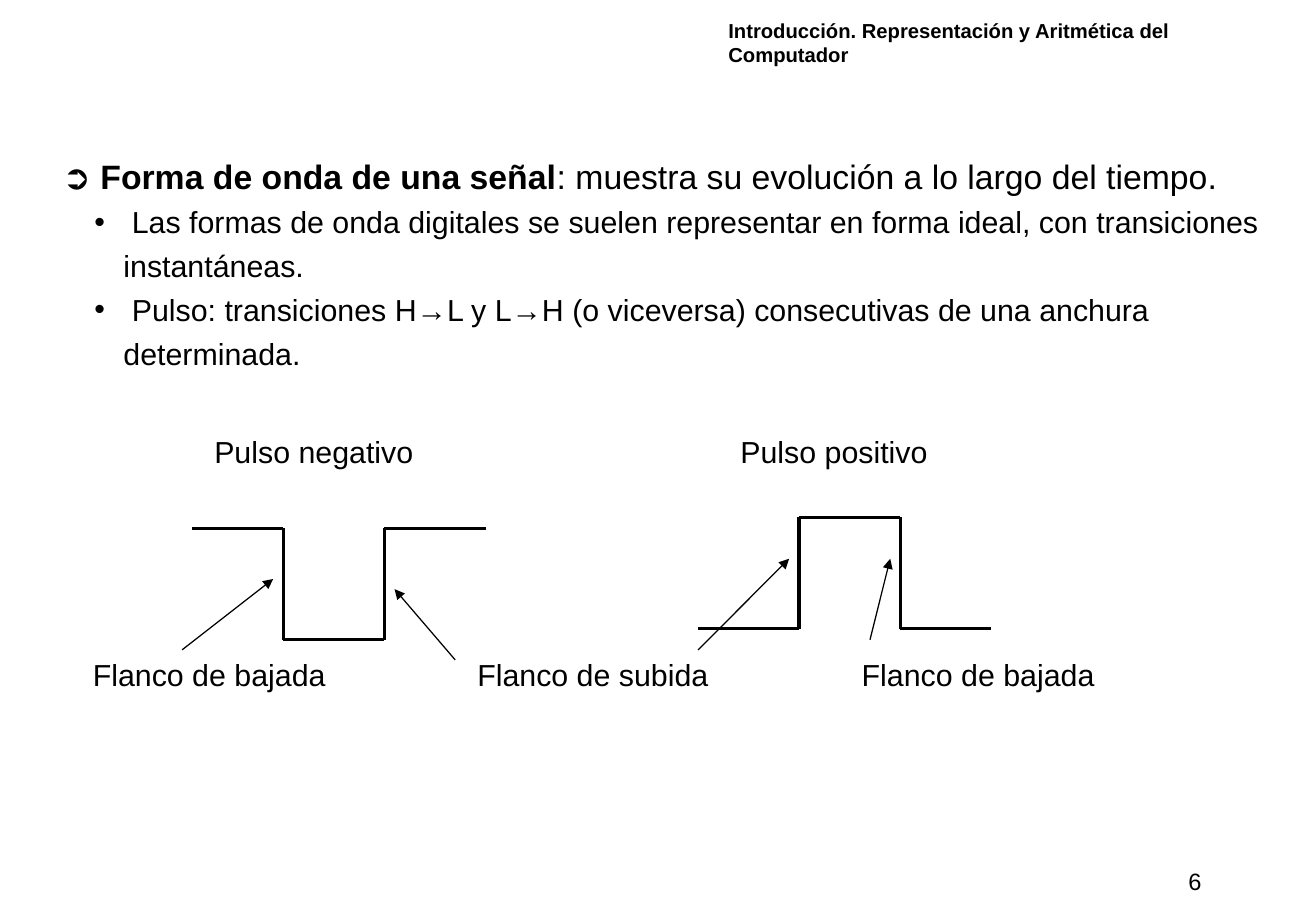
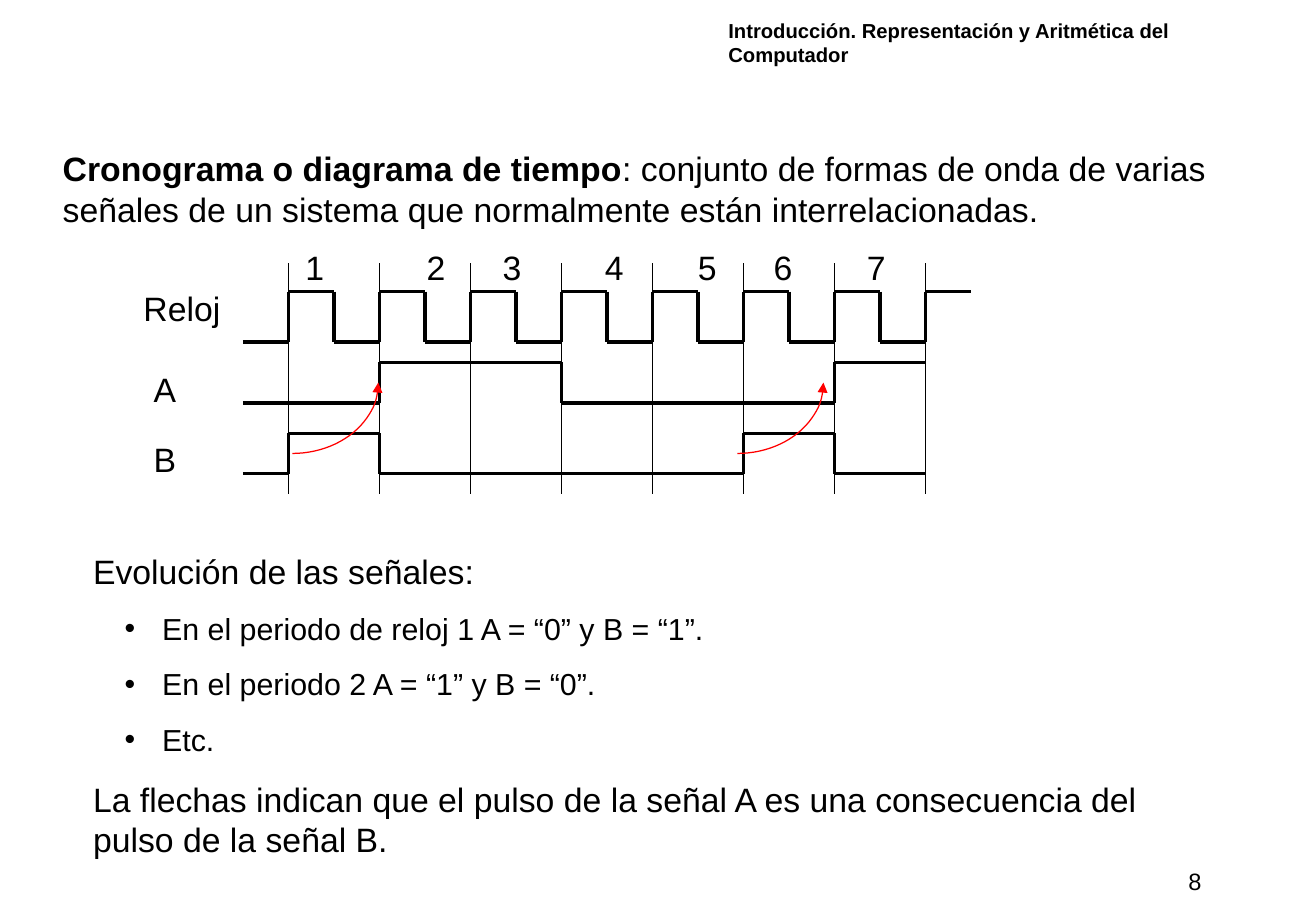
from lxml.etree import SubElement
from pptx import Presentation
from pptx.dml.color import RGBColor
from pptx.enum.shapes import MSO_CONNECTOR as Link, MSO_SHAPE as Shape
from pptx.enum.text import MSO_ANCHOR as Anchor, MSO_AUTO_SIZE as Fit, PP_ALIGN as Align
from pptx.oxml.ns import qn
from pptx.util import Inches, Pt

CELL = Inches(1) / 12
FONT = "Arial"
INK, ARROW_RED = "000000", "FF0000"
THICK, THIN = 2, 0.75
HEADER_BOX = (70.8, 1.2, 56.2, 6)
NUMBER_BOX = (116.3, 85, 13, 4)
HEADER = "Introducción. Representación y Aritmética del Computador"


def cells(*counts):
    """Turn counts of grid cells into slide lengths."""
    return [round(count * CELL) for count in counts]


def colour(hex_code):
    """Give the colour of a hex string."""
    return RGBColor.from_string(hex_code)


def place(holder, box):
    """Move a placeholder to a box of grid cells."""
    holder.left, holder.top, holder.width, holder.height = cells(*box)


def prepare(frame):
    """Make a text frame wrap from its top edge at a fixed text size."""
    frame.word_wrap = True
    frame.auto_size = Fit.NONE
    frame.vertical_anchor = Anchor.TOP


def add_run(paragraph, text, size, bold=False):
    """Add one run of text in the shared font."""
    run = paragraph.add_run()
    run.text = text
    run.font.name, run.font.size, run.font.bold = FONT, Pt(size), bold
    run.font.color.rgb = colour(INK)


def set_bullet(paragraph, bulleted):
    """Give a paragraph a hanging bullet or none at all."""
    props = paragraph._p.get_or_add_pPr()
    margin, indent = (Inches(0.5), Inches(-0.24)) if bulleted else (0, 0)
    props.set("marL", str(margin))
    props.set("indent", str(indent))
    if bulleted:
        SubElement(props, qn("a:buFont"), typeface=FONT)
        SubElement(props, qn("a:buChar"), char="•")
    else:
        SubElement(props, qn("a:buNone"))


def write(frame, paragraphs, line_spacing=1.0, gaps=(0, 0)):
    """Fill a frame with (bulleted, runs) pairs; gaps are for plain and bulleted."""
    prepare(frame)
    for index, (bulleted, runs) in enumerate(paragraphs):
        paragraph = frame.add_paragraph() if index else frame.paragraphs[0]
        paragraph.alignment = Align.LEFT
        paragraph.level = int(bulleted)
        paragraph.line_spacing = line_spacing
        paragraph.space_before = Pt(gaps[bulleted] if index else 0)
        set_bullet(paragraph, bulleted)
        for run in runs:
            add_run(paragraph, *run)


def label(slide, text, box, size):
    """Add a one-line label."""
    frame = slide.shapes.add_textbox(*cells(*box)).text_frame
    write(frame, [(False, [(text, size)])])


def stroke(shape, hex_code, width, arrow_end=None):
    """Set the line of a shape or connector, with an arrowhead at one end."""
    shape.line.color.rgb = colour(hex_code)
    shape.line.width = Pt(width)
    if arrow_end:
        SubElement(shape.line._get_or_add_ln(), qn(arrow_end), type="triangle")


def line(slide, start, end, width, arrow_end=None):
    """Draw a straight line between two grid points."""
    connector = slide.shapes.add_connector(Link.STRAIGHT, *cells(*start, *end))
    stroke(connector, INK, width, arrow_end)
    SubElement(connector._element.spPr, qn("a:effectLst"))


def waveform(slide, left, top, height, edges, levels):
    """Draw a digital signal that holds each level between two edges."""
    corners = []
    for start, end, level in zip(edges, edges[1:], levels):
        y = top + height * (1 - level)
        corners += [(left + start, y), (left + end, y)]
    for start, end in zip(corners, corners[1:]):
        line(slide, start, end, THICK)


def cause_arrow(slide, left, top):
    """Draw the curved red arrow from a pulse of B to one of A."""
    arc = slide.shapes.add_shape(Shape.ARC, *cells(left, top, 17, 14))
    arc.adjustments[0], arc.adjustments[1] = 0, 54
    arc.shadow.inherit = False
    arc.fill.background()
    stroke(arc, ARROW_RED, THIN, "a:headEnd")


def pulses(slide, left, top):
    """Draw the negative and positive pulses with their edges named."""
    waveform(slide, left + 11, top + 10, 11, (0, 9, 19, 29), (1, 0, 1))
    waveform(slide, left + 61, top + 8.9, 11, (0, 10, 20, 29), (0, 1, 0))
    for name, x in (("Pulso negativo", 12), ("Pulso positivo", 64)):
        label(slide, name, (left + x, top, 33, 4.8), 18)
    for index, direction in enumerate(("bajada", "subida", "bajada")):
        label(slide, f"Flanco de {direction}", (left + 38 * index, top + 22, 30, 4.8), 18)
    for x, y, dx, dy in ((10, 22, 9, -7), (37, 23, -6, -7), (78, 21, 2, -8), (61, 22, 9, -9)):
        start = (left + x, top + y)
        line(slide, start, (start[0] + dx, start[1] + dy), THIN, "a:tailEnd")


def timing_diagram(slide, left, top):
    """Draw the clock with signals A and B over seven periods."""
    half_period, row_step = 4.5, 7
    signals = (
        ("Reloj", -11, 1.8, 5, range(17), (0, 1) * 8),
        ("A", -10, 9.8, 4, (0, 3, 7, 13, 15), (0, 1, 0, 1)),
        ("B", -10, 16.8, 4, (0, 1, 3, 11, 13, 15), (0, 1, 0, 1, 0)),
    )
    for row, (name, name_x, name_y, height, halves, levels) in enumerate(signals):
        edges = [half * half_period for half in halves]
        waveform(slide, left, top + 2.8 + row * row_step, height, edges, levels)
        label(slide, name, (left + name_x, top + name_y, 14, 5.3), 20)
    for half in range(1, 16, 2):
        x = left + half * half_period
        line(slide, (x, top), (x, top + 22.8), THIN)
    for x in (-3.6, 40.4):
        cause_arrow(slide, left + x, top + 4.8)
    for period, x in enumerate((5, 17, 24.5, 34.6, 43.8, 51.3, 60.5), start=1):
        label(slide, str(period), (left + x, top - 2.2, 5, 5.3), 20)


def open_slide(deck, layout_index, number):
    """Add a slide with the running header and its page number."""
    slide = deck.slides.add_slide(deck.slide_layouts[layout_index])
    place(slide.shapes.title, HEADER_BOX)
    write(slide.shapes.title.text_frame, [(False, [(HEADER, 12, True)])])
    label(slide, str(number), NUMBER_BOX, 14)
    return slide


def waveform_slide(deck):
    """Build the slide on the waveform of a signal."""
    slide = open_slide(deck, 1, 6)
    body = slide.placeholders[1]
    place(body, (5, 14, 122, 26))
    write(body.text_frame, [
        (False, [("➲ ", 20), ("Forma de onda de una señal", 20, True),
                 (": muestra su evolución a lo largo del tiempo.", 20)]),
        (True, [(" Las formas de onda digitales se suelen representar en forma ideal, "
                 "con transiciones instantáneas.", 18)]),
        (True, [(" Pulso: transiciones H→L y L→H (o viceversa) consecutivas de una "
                 "anchura determinada.", 18)]),
    ], line_spacing=1.2)
    pulses(slide, 8, 42.2)


def timing_slide(deck):
    """Build the slide on the timing diagram."""
    slide = open_slide(deck, 3, 8)
    definition, evolution = slide.placeholders[1], slide.placeholders[2]
    place(definition, (5, 14, 122, 10))
    write(definition.text_frame, [
        (False, [("Cronograma o diagrama de tiempo", 20, True),
                 (": conjunto de formas de onda de varias señales de un sistema que "
                  "normalmente están interrelacionadas.", 20)]),
    ])
    place(evolution, (8, 53.8, 113, 31.8))
    write(evolution.text_frame, [
        (False, [("Evolución de las señales:", 20)]),
        (True, [(" En el periodo de reloj 1 A = “0” y B = “1”.", 18)]),
        (True, [(" En el periodo 2 A = “1” y B = “0”.", 18)]),
        (True, [(" Etc.", 18)]),
        (False, [("La flechas indican que el pulso de la señal A es una consecuencia "
                  "del pulso de la señal B.", 20)]),
    ], gaps=(12.5, 11.2))
    timing_diagram(slide, 24, 26)


def main():
    """Build and save the deck."""
    deck = Presentation()
    deck.slide_width, deck.slide_height = Inches(10.84), Inches(7.5)
    waveform_slide(deck)
    timing_slide(deck)
    deck.save("out.pptx")


if __name__ == "__main__":
    main()
